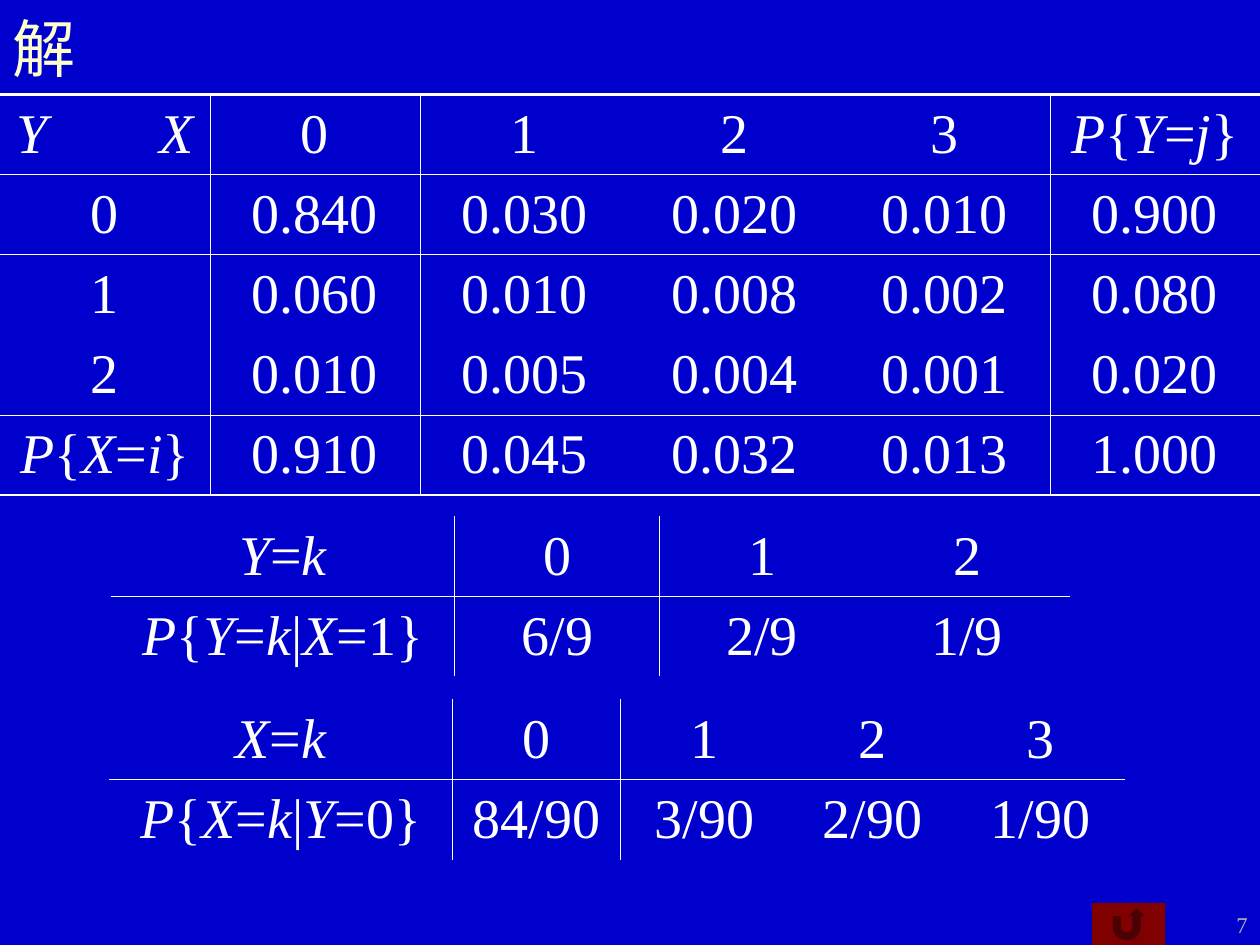
from dataclasses import dataclass
from typing import Any

from lxml import etree
from pptx import Presentation
from pptx import util as u
from pptx.dml import color
from pptx.enum import shapes, text
from pptx.oxml import ns

COLORS = {
    "background": "0000CC",
    "title": "FFFFCC",
    "text": "FFFFFF",
    "number": "B2B2B2",
    "button": "800000",
}
NO_GRID_STYLE = "{2D5ABB26-0587-4C30-8999-92F81FD0307C}"
ROW_HEIGHT = 45.8
THIN, THICK = 0.45, 1.47

JOINT_ROWS = [
    ["*Y\tX*", "0", "1", "2", "3", "*P*{*Y*=*j*}"],
    ["0", "0.840", "0.030", "0.020", "0.010", "0.900"],
    ["1", "0.060", "0.010", "0.008", "0.002", "0.080"],
    ["2", "0.010", "0.005", "0.004", "0.001", "0.020"],
    ["*P*{*X*=*i*}", "0.910", "0.045", "0.032", "0.013", "1.000"],
]
Y_GIVEN_X_ROWS = [
    ["*Y*=*k*", "0", "1", "2"],
    ["*P*{*Y*=*k*|*X*=1}", "6/9", "2/9", "1/9"],
]
X_GIVEN_Y_ROWS = [
    ["*X*=*k*", "0", "1", "2", "3"],
    ["*P*{*X*=*k*|*Y*=0}", "84/90", "3/90", "2/90", "1/90"],
]


def rgb(name):
    return color.RGBColor.from_string(COLORS[name])


@dataclass
class SlideBuilder:
    slide: Any
    font: str = "Times New Roman"
    table_size: float = 32

    def background(self):
        fill = self.slide.background.fill
        fill.solid()
        fill.fore_color.rgb = rgb("background")

    def style(self, paragraph, size, color_name, align):
        paragraph.alignment = align
        paragraph.font.name = self.font
        paragraph.font.size = u.Pt(size)
        paragraph.font.color.rgb = rgb(color_name)

    def label(self, content, left, top, width, height, size, color_name, align):
        shape = self.slide.shapes.add_textbox(*map(u.Pt, (left, top, width, height)))
        frame = shape.text_frame
        frame.word_wrap = True
        frame.vertical_anchor = text.MSO_ANCHOR.MIDDLE
        frame.text = content
        self.style(frame.paragraphs[0], size, color_name, align)

    def return_button(self, left, top, width, height):
        shape = self.slide.shapes.add_shape(
            shapes.MSO_SHAPE.ACTION_BUTTON_RETURN, *map(u.Pt, (left, top, width, height))
        )
        shape.shadow.inherit = False
        shape.fill.solid()
        shape.fill.fore_color.rgb = rgb("button")
        shape.line.fill.background()

    def border(self, cell, side, width):
        properties = cell._tc.get_or_add_tcPr()
        line = etree.SubElement(properties, ns.qn(f"a:ln{side}"), w=str(u.Pt(width)))
        fill = etree.SubElement(line, ns.qn("a:solidFill"))
        etree.SubElement(fill, ns.qn("a:srgbClr"), val=COLORS["text"])

    def cell_text(self, cell, markup):
        cell.vertical_anchor = text.MSO_ANCHOR.MIDDLE
        paragraph = cell.text_frame.paragraphs[0]
        align = text.PP_ALIGN.CENTER
        if "\t" in markup:
            align = text.PP_ALIGN.LEFT
            cell.margin_left = u.Pt(9.3)
            properties = paragraph._p.get_or_add_pPr()
            tabs = etree.SubElement(properties, ns.qn("a:tabLst"))
            etree.SubElement(tabs, ns.qn("a:tab"), pos=str(u.Pt(81.8)), algn="l")
        self.style(paragraph, self.table_size, "text", align)
        for index, part in enumerate(markup.split("*")):
            if part:
                run = paragraph.add_run()
                run.text = part
                run.font.italic = index % 2 == 1

    def table(self, rows, left, top, widths, row_rules, column_rules):
        table = self.slide.shapes.add_table(
            len(rows), len(widths), u.Pt(left), u.Pt(top),
            u.Pt(sum(widths)), u.Pt(ROW_HEIGHT * len(rows)),
        ).table
        table.first_row = table.horz_banding = False
        table._tbl.tblPr.find(ns.qn("a:tableStyleId")).text = NO_GRID_STYLE
        for column, width in zip(table.columns, widths):
            column.width = u.Pt(width)
        for r, row in enumerate(rows):
            table.rows[r].height = u.Pt(ROW_HEIGHT)
            for c, markup in enumerate(row):
                cell = table.cell(r, c)
                self.cell_text(cell, markup)
                edges = {
                    "L": column_rules.get(c),
                    "R": column_rules.get(c + 1),
                    "T": row_rules.get(r),
                    "B": row_rules.get(r + 1),
                }
                for side, width in edges.items():
                    if width:
                        self.border(cell, side, width)
                cell.fill.background()


def main():
    presentation = Presentation()
    presentation.slide_width, presentation.slide_height = u.Pt(720), u.Pt(540)
    builder = SlideBuilder(presentation.slides.add_slide(presentation.slide_layouts[6]))
    builder.background()
    builder.return_button(624, 516, 42, 24)
    builder.label("7", 672, 516, 48, 24, 12.9, "number", text.PP_ALIGN.RIGHT)
    builder.label("解", 0, 0, 720, 54, 36, "title", text.PP_ALIGN.LEFT)
    builder.table(
        JOINT_ROWS, 0, 54, [120] * 6,
        {0: THICK, 1: THIN, 4: THIN, 5: THICK}, {1: THIN, 5: THIN},
    )
    for rows, left, top, value_width in (
        (Y_GIVEN_X_ROWS, 63.4, 295, 117.1),
        (X_GIVEN_Y_ROWS, 62.2, 399.6, 96),
    ):
        widths = [196.5] + [value_width] * (len(rows[0]) - 1)
        builder.table(rows, left, top, widths, {1: THIN}, {1: THIN})
    presentation.save("out.pptx")


if __name__ == "__main__":
    main()
